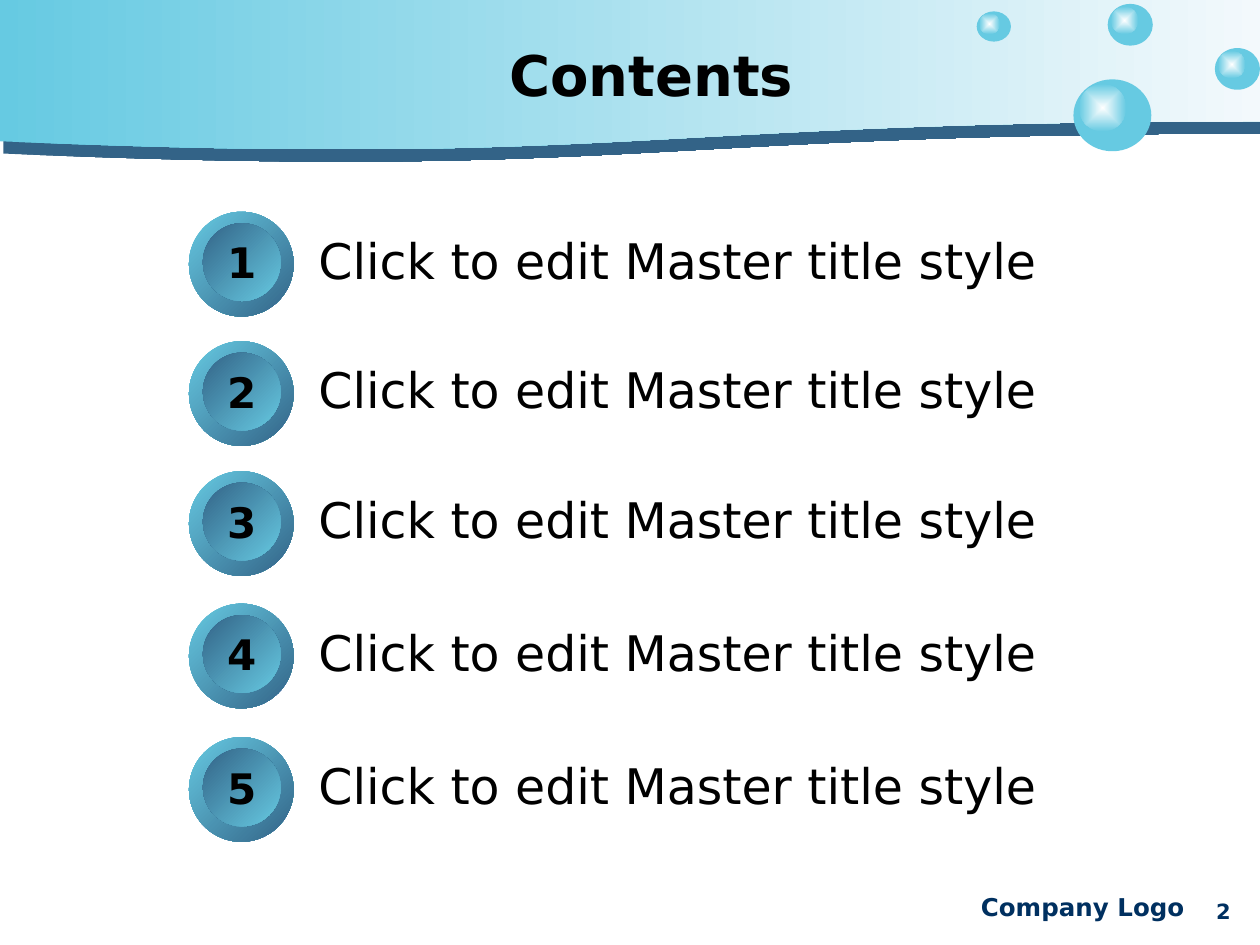
from typing import NamedTuple

from lxml import etree
from pptx import Presentation
from pptx.dml.color import RGBColor
from pptx.enum.shapes import MSO_SHAPE as Shape
from pptx.enum.text import MSO_ANCHOR as Anchor, PP_ALIGN as Align
from pptx.oxml import parse_xml
from pptx.oxml.ns import nsdecls, qn
from pptx.util import Cm, Pt

FONT = "DejaVu Sans"
AQUA, STEEL, PALE = "66CAE2", "336387", "F3F9FC"
WHITE, BLACK, NAVY = "FFFFFF", "000000", "003060"


class Box(NamedTuple):
    """A rectangle in centimetres."""
    left: float
    top: float
    width: float
    height: float

    def inner(self, left, top, width, height):
        return Box(self.left + left, self.top + top, width, height)

    def lengths(self):
        return [Cm(value) for value in self]


def color(hex_string):
    return RGBColor.from_string(hex_string)


def add_preset(page, kind, box):
    shape = page.shapes.add_shape(kind, *box.lengths())
    shape.shadow.inherit = False
    shape.line.fill.background()
    return shape


def fill_solid(shape, hex_string):
    shape.fill.solid()
    shape.fill.fore_color.rgb = color(hex_string)


def fill_gradient(shape, start, end, angle=0):
    """Blend two colours; the angle runs clockwise."""
    shape.fill.gradient()
    shape.fill.gradient_angle = (360 - angle) % 360
    for stop, hex_string in zip(shape.fill.gradient_stops, (start, end)):
        stop.color.rgb = color(hex_string)


def spread_from_center(shape):
    """Turn a linear gradient into one that grows outwards."""
    linear = shape.element.spPr.find(".//" + qn("a:lin"))
    linear.getparent().replace(linear, parse_xml(
        f'<a:path {nsdecls("a")} path="shape">'
        '<a:fillToRect l="50000" t="50000" r="50000" b="50000"/></a:path>'))


def cast_shadow(shape, hex_string, distance, angle):
    effects = shape.element.spPr.find(qn("a:effectLst"))
    shadow = etree.SubElement(
        effects, qn("a:outerShdw"), dist=str(Pt(distance)),
        dir=str(angle * 60000), algn="ctr", rotWithShape="0")
    etree.SubElement(shadow, qn("a:srgbClr"), val=hex_string)


def write(shape, text, size, hex_string=BLACK, bold=False,
          align=Align.LEFT, anchor=Anchor.MIDDLE, wrap=True):
    frame = shape.text_frame
    frame.text = text
    frame.word_wrap = wrap
    frame.vertical_anchor = anchor
    para = frame.paragraphs[0]
    para.alignment = align
    font = para.runs[0].font
    font.name, font.size, font.bold = FONT, Pt(size), bold
    font.color.rgb = color(hex_string)


def add_text(page, box, text, size, **style):
    write(page.shapes.add_textbox(*box.lengths()), text, size, **style)


def add_bubble(page, box):
    fill_solid(add_preset(page, Shape.OVAL, box), AQUA)
    size = 0.61 * box.width
    glint_box = box.inner(0.07 * box.width, 0.06 * box.width, size, size)
    glint = add_preset(page, Shape.OVAL, glint_box)
    fill_gradient(glint, WHITE, AQUA)
    spread_from_center(glint)


def add_header(page, box, title):
    wave = add_preset(page, Shape.FLOWCHART_DOCUMENT, box)
    fill_gradient(wave, AQUA, PALE)
    cast_shadow(wave, STEEL, 7.3, 74)
    for bubble in ((21.64, 1.6, 1.57, 1.45), (24.49, 0.97, 0.91, 0.84),
                   (22.33, 0.08, 0.91, 0.84), (19.69, 0.23, 0.69, 0.61)):
        add_bubble(page, box.inner(*bubble))
    add_text(page, box.inner(1.7, 0.64, 22.86, 1.7), title, 32,
             bold=True, align=Align.CENTER)


def add_entry(page, box, number, text):
    ring = add_preset(page, Shape.OVAL, box.inner(0, 0, box.height, box.height))
    fill_gradient(ring, AQUA, STEEL, 45)
    button = add_preset(page, Shape.OVAL, box.inner(0.28, 0.23, 1.57, 1.57))
    fill_gradient(button, STEEL, AQUA, 45)
    write(button, str(number), 24, bold=True, align=Align.CENTER, wrap=False)
    add_text(page, box.inner(2.36, 0.23, box.width - 2.36, 1.47), text, 28)


def add_footer(page, box, owner, number):
    style = dict(hex_string=NAVY, bold=True, anchor=Anchor.TOP)
    add_text(page, box.inner(0, 0, 7.62, 0.84), owner, 14,
             align=Align.RIGHT, **style)
    add_text(page, box.inner(7.42, 0.12, 1.47, 0.84), number, 12,
             align=Align.CENTER, **style)


def main():
    deck = Presentation()
    deck.slide_width, deck.slide_height = Cm(25.4), Cm(19.05)
    page = deck.slides.add_slide(deck.slide_layouts[6])
    add_header(page, Box(0, 0, 25.4, 3.05), "Contents")
    for number, top in enumerate((4.27, 6.88, 9.5, 12.17, 14.86), start=1):
        add_entry(page, Box(3.81, top, 18.24, 2.11), number,
                  "Click to edit Master title style")
    add_footer(page, Box(16.51, 17.86, 8.89, 0.96), "Company Logo", "2")
    deck.save("out.pptx")


if __name__ == "__main__":
    main()
